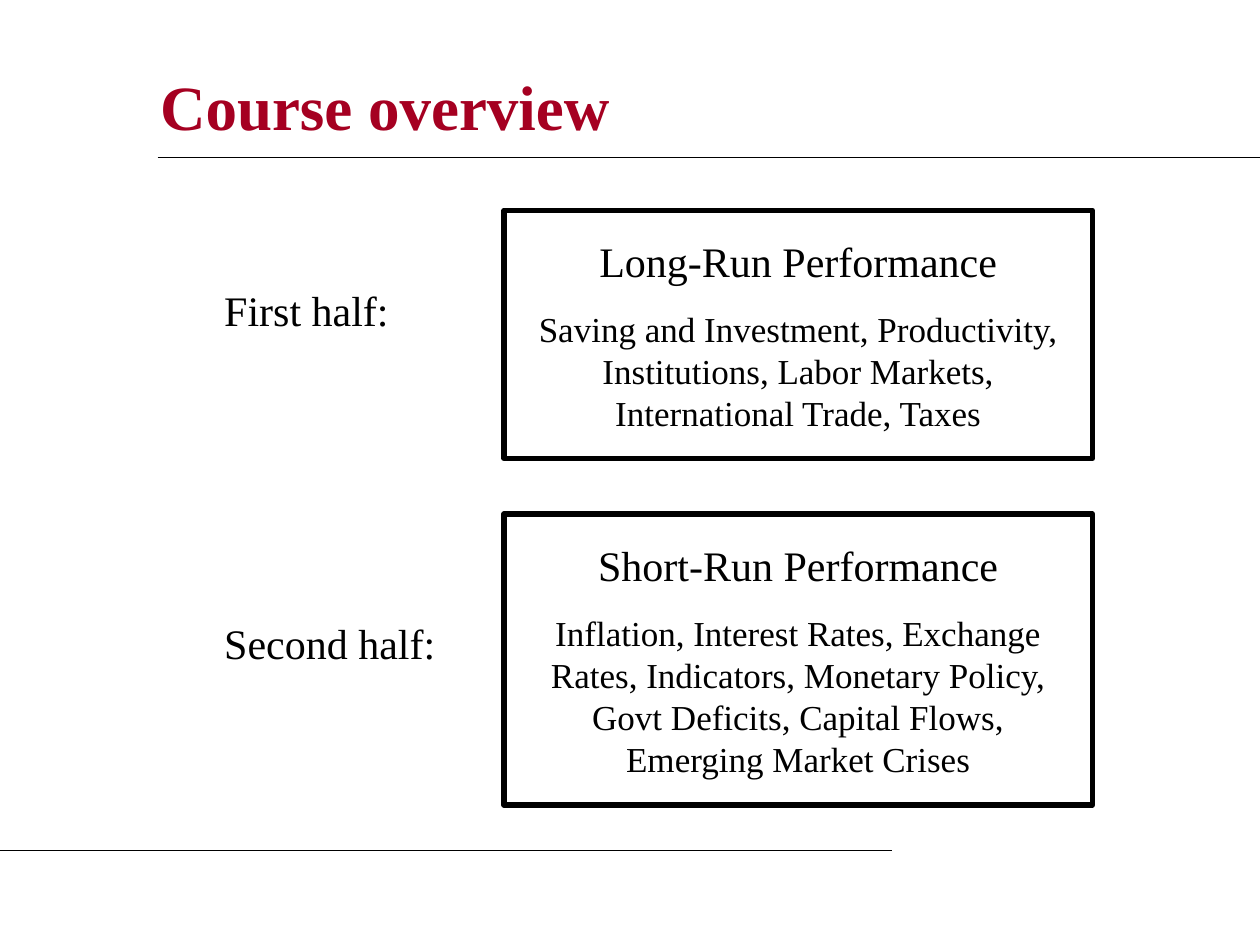
import pptx
import pptx.util
import pptx.dml.color
import pptx.enum.shapes
import pptx.enum.text
import pptx.oxml.ns
from lxml import etree

Inches, Pt = pptx.util.Inches, pptx.util.Pt
ALIGN = pptx.enum.text.PP_ALIGN
ANCHOR = pptx.enum.text.MSO_ANCHOR
AUTO = pptx.enum.text.MSO_AUTO_SIZE

FONT = "Times New Roman"
BLACK, RED = "000000", "A50021"
WIDTH, HEIGHT = 10, 7.5
TITLE = "Course overview"
RULES = [(1.25, WIDTH, 1.25), (0, 7.08, 6.75)]
LABEL_LEFT, LABEL_WIDTH = 1.58, 2.33
BOX_LEFT, BOX_WIDTH = 4, 4.67
HALVES = [
    {"label": "First half:", "label_top": 2.33, "label_height": 0.6, "spacing": 0.5,
     "heading": "Long-Run Performance", "box_top": 1.67, "box_height": 1.97,
     "topics": "Saving and Investment, Productivity, Institutions, "
               "Labor Markets, International Trade, Taxes"},
    {"label": "Second half:", "label_top": 4.7, "label_height": 0.8, "spacing": None,
     "heading": "Short-Run Performance", "box_top": 4.08, "box_height": 2.31,
     "topics": "Inflation, Interest Rates, Exchange Rates, Indicators, "
               "Monetary Policy, Govt Deficits, Capital Flows, Emerging Market Crises"},
]


def color(value):
    return pptx.dml.color.RGBColor.from_string(value)


def write(p, text, size, align=ALIGN.LEFT, fill=BLACK, bold=False):
    p.text = text
    p.alignment = align
    for r in p.runs:
        r.font.name = FONT
        r.font.size = Pt(size)
        r.font.bold = bold
        r.font.color.rgb = color(fill)


def frame(shape, inset):
    tf = shape.text_frame
    tf.word_wrap = True
    tf.vertical_anchor = ANCHOR.TOP
    tf.auto_size = AUTO.SHAPE_TO_FIT_TEXT
    tf.margin_left = tf.margin_right = Inches(inset)
    tf.margin_top = tf.margin_bottom = Inches(inset)
    return tf


def add_title(s):
    title = s.shapes.title
    title.left, title.top = Inches(1.17), Inches(0.42)
    title.width, title.height = Inches(8.08), Inches(0.83)
    tf = frame(title, 0.1)
    tf.margin_top = tf.margin_bottom = Inches(0.05)
    tf.auto_size = AUTO.NONE
    tf.vertical_anchor = ANCHOR.MIDDLE
    write(tf.paragraphs[0], TITLE, 36, fill=RED, bold=True)


def add_rule(s, left, right, y):
    line = s.shapes.add_connector(pptx.enum.shapes.MSO_CONNECTOR.STRAIGHT,
                                  Inches(left), Inches(y), Inches(right), Inches(y))
    line.line.color.rgb = color(BLACK)
    line.line.width = Pt(0.75)
    etree.SubElement(line._element.spPr, pptx.oxml.ns.qn("a:effectLst"))


def add_box(s, half):
    box = s.shapes.add_shape(pptx.enum.shapes.MSO_SHAPE.RECTANGLE,
                             Inches(BOX_LEFT), Inches(half["box_top"]),
                             Inches(BOX_WIDTH), Inches(half["box_height"]))
    box.shadow.inherit = False
    box.fill.background()
    box.line.color.rgb = color(BLACK)
    box.line.width = Pt(3)
    tf = frame(box, 0.2)
    write(tf.paragraphs[0], half["heading"], 24, ALIGN.CENTER)
    p = tf.add_paragraph()
    p.space_before = Pt(12.5)
    write(p, half["topics"], 20, ALIGN.CENTER)


def add_label(s, half):
    label = s.shapes.add_textbox(Inches(LABEL_LEFT), Inches(half["label_top"]),
                                 Inches(LABEL_WIDTH), Inches(half["label_height"]))
    p = frame(label, 0.2).paragraphs[0]
    p.line_spacing = half["spacing"]
    write(p, half["label"], 24)


def main():
    prs = pptx.Presentation()
    prs.slide_width, prs.slide_height = Inches(WIDTH), Inches(HEIGHT)
    s = prs.slides.add_slide(prs.slide_layouts.get_by_name("Title Only"))
    add_title(s)
    for rule in RULES:
        add_rule(s, *rule)
    for add in (add_box, add_label):
        for half in HALVES:
            add(s, half)
    prs.save("out.pptx")


if __name__ == "__main__":
    main()
